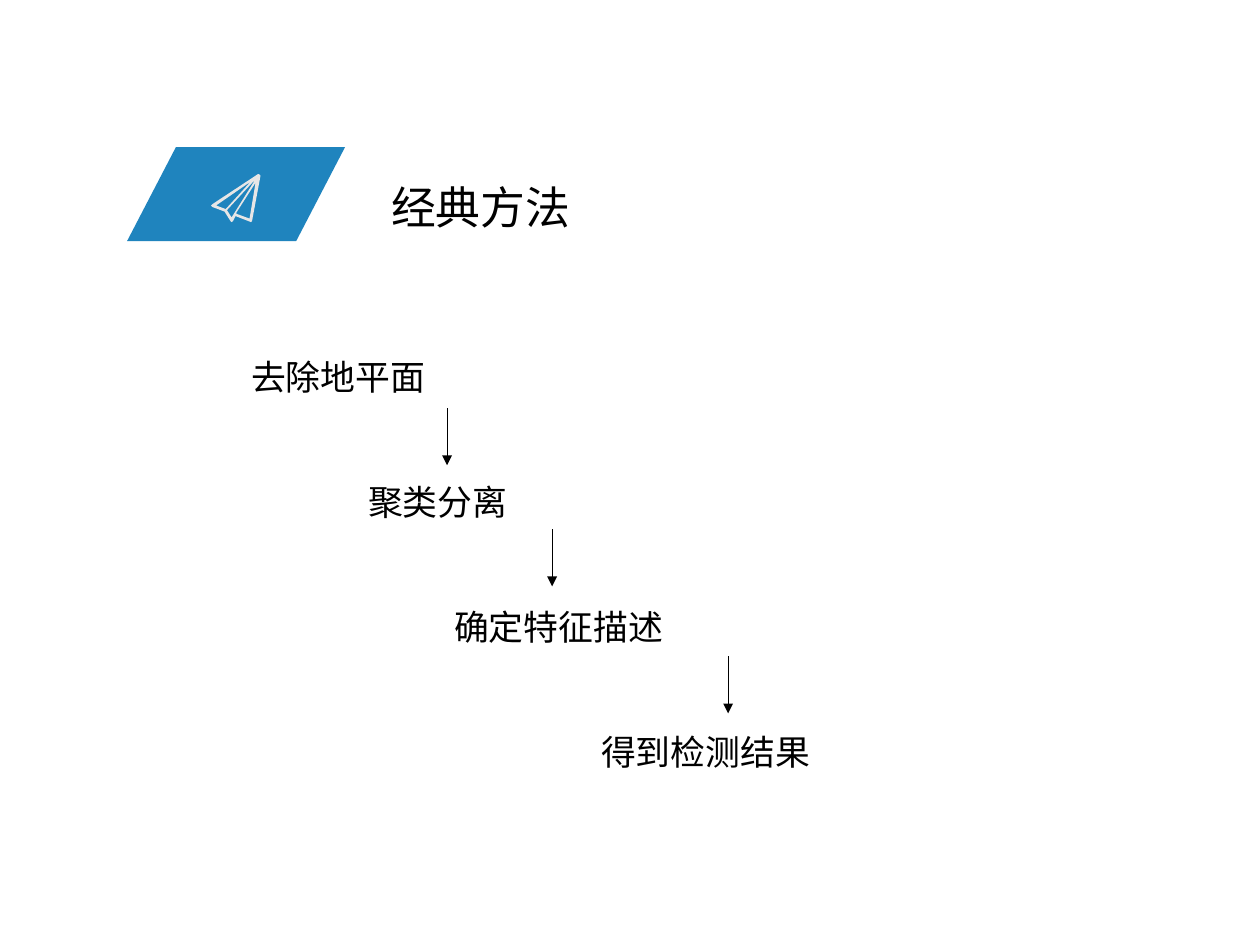
from lxml import etree
from pptx import Presentation
from pptx.dml.color import RGBColor
from pptx.enum.shapes import MSO_CONNECTOR, MSO_SHAPE
from pptx.enum.text import MSO_ANCHOR, PP_ALIGN
from pptx.oxml.ns import qn
from pptx.util import Inches, Pt

PX = 7658  # EMU in one px
BLUE = RGBColor(0x1F, 0x84, 0xBE)
PALE_GREY = RGBColor(0xE7, 0xE6, 0xE6)
BLACK = RGBColor(0, 0, 0)
FONT = "Calibri"

STEP_TOP, STEP_PITCH, STEP_HEIGHT, CHAR_WIDTH = 346, 125, 60, 35
STEPS = [("去除地平面", 251), ("聚类分离", 368), ("确定特征描述", 454), ("得到检测结果", 601)]
ARROW_LENGTH = 57
ARROW_STARTS = [(447, 408), (552, 529), (728, 656)]

# Paper plane in tenths of a px: its outline, then the three gaps between the folds
PLANE_CONTOURS = [
    [(480, 0), (470, 0), (15, 300), (0, 315), (15, 330), (135, 375), (195, 470),
     (205, 480), (220, 470), (245, 420), (400, 480), (410, 470), (495, 15)],
    [(385, 445), (254, 397), (254, 385), (445, 87)],
    [(159, 361), (445, 51), (206, 433)],
    [(51, 314), (397, 75), (147, 350)],
]


def place(shape, left, top, width, height):
    shape.left, shape.top = left * PX, top * PX
    shape.width, shape.height = width * PX, height * PX


def write(shape, text, size, color=BLACK, align=PP_ALIGN.LEFT, wrap=True):
    frame = shape.text_frame
    frame.word_wrap = wrap
    frame.vertical_anchor = MSO_ANCHOR.MIDDLE
    frame.margin_left = frame.margin_right = frame.margin_top = frame.margin_bottom = 0
    paragraph = frame.paragraphs[0]
    paragraph.alignment = align
    run = paragraph.add_run()
    run.text = text
    run.font.name, run.font.size, run.font.bold = FONT, Pt(size), False
    run.font.color.rgb = color


def paint(shape, color):
    shape.fill.solid()
    shape.fill.fore_color.rgb = color
    shape.line.fill.background()
    shape.shadow.inherit = False


def add_badge(slide):
    """Blue parallelogram with a paper plane, grouped."""
    badge = slide.shapes.add_group_shape().shapes
    panel = badge.add_shape(MSO_SHAPE.PARALLELOGRAM, 127 * PX, 147 * PX, 218 * PX, 94 * PX)
    panel.adjustments[0] = 0.52
    paint(panel, BLUE)

    outline, *gaps = PLANE_CONTOURS
    builder = badge.build_freeform(*outline[0], scale=PX / 10)
    builder.add_line_segments(outline[1:])
    for gap in gaps:
        builder.move_to(*gap[0])
        builder.add_line_segments(gap[1:])
    paint(builder.convert_to_shape(211 * PX, 174 * PX), PALE_GREY)


def add_step(slide, text, left, top):
    step = slide.shapes.add_textbox(0, 0, 0, 0)
    place(step, left, top, CHAR_WIDTH * len(text), STEP_HEIGHT)
    write(step, text, size=21, wrap=False)


def add_down_arrow(slide, x, top):
    arrow = slide.shapes.add_connector(
        MSO_CONNECTOR.STRAIGHT, x * PX, top * PX, x * PX, (top + ARROW_LENGTH) * PX)
    arrow.line.color.rgb = BLACK
    arrow.line.width = Pt(0.5)
    etree.SubElement(arrow.line._get_or_add_ln(), qn("a:tailEnd"), type="triangle")
    etree.SubElement(arrow._element.spPr, qn("a:effectLst"))


def main():
    deck = Presentation()
    deck.slide_width, deck.slide_height = Inches(10.55), Inches(7.91)
    slide = deck.slides.add_slide(deck.slide_layouts[5])

    place(slide.shapes.title, 391, 173, 333, 67)
    write(slide.shapes.title, "经典方法", size=27)
    add_badge(slide)
    for row, (text, left) in enumerate(STEPS):
        add_step(slide, text, left, STEP_TOP + row * STEP_PITCH)
    for x, top in ARROW_STARTS:
        add_down_arrow(slide, x, top)

    deck.save("out.pptx")


if __name__ == "__main__":
    main()
